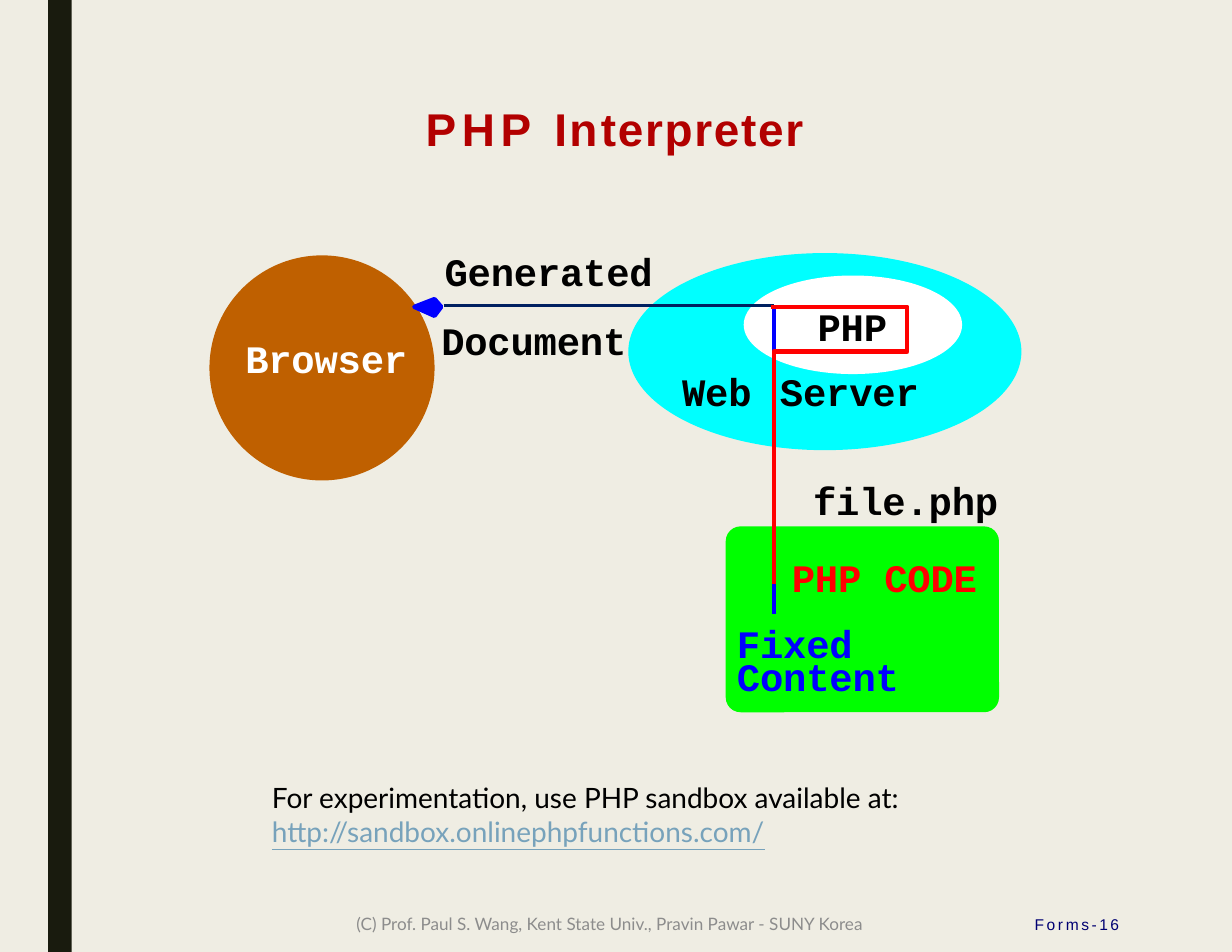
from lxml import etree
from pptx import Presentation
from pptx.dml.color import RGBColor
from pptx.enum import shapes, text
from pptx.oxml import ns
from pptx.util import Inches, Pt


def rgb(value):
    return RGBColor.from_string(value)


def write(p, parts, size=25, font="Courier New", color="000000", bold=False,
          underline=None, indent=0):
    """Add formatted runs, given as pairs of text and letter spacing in points."""
    if indent:
        p._p.get_or_add_pPr().set("marL", str(Inches(indent)))
    for content, spacing in parts:
        r = p.add_run()
        r.text = content
        r.font.size = Pt(size)
        r.font.name = font
        r.font.bold = bold
        r.font.underline = underline
        r.font.color.rgb = rgb(color)
        if spacing:
            r._r.get_or_add_rPr().set("spc", str(round(spacing * 100)))


prs = Presentation()
prs.slide_width, prs.slide_height = Inches(11), Inches(8.5)
s = prs.slides.add_slide(prs.slide_layouts[5])
s.background.fill.solid()
s.background.fill.fore_color.rgb = rgb("EFEDE3")
MSO, ANCHOR, ALIGN = shapes.MSO_SHAPE, text.MSO_ANCHOR, text.PP_ALIGN

# Title
title = s.shapes.title
title.left, title.top, title.width, title.height = map(Inches, (1.24, 0.85, 8.66, 1.84))
tf = title.text_frame
tf.auto_size = text.MSO_AUTO_SIZE.NONE
tf.vertical_anchor = ANCHOR.TOP
tf.margin_left = tf.margin_right = tf.margin_bottom = 0
tf.margin_top = Inches(0.05)
p = tf.paragraphs[0]
p.alignment = ALIGN.LEFT
write(p, (("PHP ", 3.6), ("I", 1.4), ("n", 2.3), ("terpreter", 1.1)),
      29.5, "Arial", "B20000", True, indent=2.56)

# Side bar, browser, web server, file and PHP interpreter
for kind, box, color in (
    (MSO.RECTANGLE, (0.43, 0, 0.21, 8.5), "191B0E"),
    (MSO.OVAL, (1.87, 2.28, 2.01, 2.01), "BF6000"),
    (MSO.OVAL, (5.61, 2.26, 3.51, 1.76), "00FFFF"),
    (MSO.ROUNDED_RECTANGLE, (6.48, 4.7, 2.44, 1.66), "00FF00"),
    (MSO.OVAL, (6.64, 2.46, 1.95, 0.88), "FFFFFF"),
):
    sp = s.shapes.add_shape(kind, *map(Inches, box))
    sp.shadow.inherit = False
    sp.fill.solid()
    sp.fill.fore_color.rgb = rgb(color)
    sp.line.fill.background()
    if kind == MSO.ROUNDED_RECTANGLE:
        sp.adjustments[0] = 0.08

# Content line up to the interpreter, and line back to the browser
for ends, color, width in (
    ((6.91, 2.73, 6.91, 5.48), "0000FF", 2.81),
    ((3.96, 2.73, 6.91, 2.73), "002060", 2),
):
    line = s.shapes.add_connector(shapes.MSO_CONNECTOR.STRAIGHT, *map(Inches, ends))
    line.line.color.rgb = rgb(color)
    line.line.width = Pt(width)
    etree.SubElement(line._element.spPr, ns.qn("a:effectLst"))

# Arrowhead at the browser, and path of the PHP code
for points, closed, color in (
    (((3.88, 2.67), (3.7, 2.74), (3.88, 2.82), (3.94, 2.74)), True, "0000FF"),
    (((6.91, 5.21), (6.91, 3.14), (8.1, 3.14), (8.1, 2.74), (6.88, 2.74)), False, "FF0000"),
):
    points = [(Inches(x), Inches(y)) for x, y in points]
    builder = s.shapes.build_freeform(*points[0])
    builder.add_line_segments(points[1:], close=closed)
    sp = builder.convert_to_shape()
    sp.shadow.inherit = False
    sp.line.color.rgb = rgb(color)
    sp.line.width = Pt(2.81)
    if closed:
        sp.fill.solid()
        sp.fill.fore_color.rgb = rgb(color)
    else:
        sp.fill.background()

# Diagram labels, footer and slide number: each paragraph is
# (runs, space before, line spacing, format)
code = dict(bold=True)
label = dict(code, indent=0.01)
number = dict(size=10, font="Arial", color="000072")
footer = dict(size=11, font="Lato", color="8C8C8C")
credit = "(C) Prof. Paul S. Wang, Kent State Univ., Pravin Pawar - SUNY Korea"
# The wide space lets the PHP code path pass between the two words
server = (("Web", -0.1), (" ", 3.3), ("Server", -0.1))
for box, anchor, align, paragraphs in (
    ((6.57, 4.26, 2.38, 2.01), ANCHOR.TOP, ALIGN.LEFT, (
        ([("file.php", -0.1)], 0, 1, dict(code, indent=0.69)),
        ([("PHP CODE", -0.1)], 19, 1, dict(code, color="FF0000", indent=0.5)),
        ([("Fixed Content", -0.1)], 21, 0.7, dict(label, color="0000FF")))),
    ((2.18, 2.99, 1.48, 0.45), ANCHOR.TOP, ALIGN.LEFT,
     (([("Browser", -0.1)], 0, 1, dict(label, color="FFFFFF")),)),
    ((3.96, 2.21, 1.9, 0.45), ANCHOR.TOP, ALIGN.LEFT,
     (([("Generated", -0.1)], 0, 1, label),)),
    ((3.93, 2.83, 1.69, 0.45), ANCHOR.TOP, ALIGN.LEFT,
     (([("Document", -0.1)], 0, 1, label),)),
    ((6.08, 3.28, 2.15, 0.45), ANCHOR.TOP, ALIGN.LEFT, ((server, 0, 1, label),)),
    ((7.29, 2.7, 0.65, 0.45), ANCHOR.TOP, ALIGN.LEFT,
     (([("PHP", -0.1)], 0, 1, label),)),
    ((8.55, 8, 1.44, 0.5), ANCHOR.MIDDLE, ALIGN.RIGHT,
     (([("Forms-", 1.7), ("16", 1.4)], 0, 1, number),)),
    ((2.61, 8, 5.67, 0.5), ANCHOR.MIDDLE, ALIGN.CENTER,
     (([(credit, 0)], 0, 1, footer),)),
):
    tf = s.shapes.add_textbox(*map(Inches, box)).text_frame
    tf.word_wrap = True
    tf.vertical_anchor = anchor
    tf.margin_left = tf.margin_right = tf.margin_top = tf.margin_bottom = 0
    for i, (parts, before, spacing, style) in enumerate(paragraphs):
        p = tf.add_paragraph() if i else tf.paragraphs[0]
        p.alignment = align
        p.line_spacing = spacing
        if before:
            p.space_before = Pt(before)
        write(p, parts, **style)

# Sandbox note
tf = s.shapes.add_textbox(*map(Inches, (2.33, 6.92, 6.78, 0.71))).text_frame
tf.word_wrap = True
tf.auto_size = text.MSO_AUTO_SIZE.SHAPE_TO_FIT_TEXT
write(tf.paragraphs[0], [("For experimentation, use PHP sandbox available at:", 0)],
      18, "Lato")
write(tf.add_paragraph(), [("http://sandbox.onlinephpfunctions.com/", 0)],
      18, "Lato", "77A2BB", underline=True)

prs.save("out.pptx")
